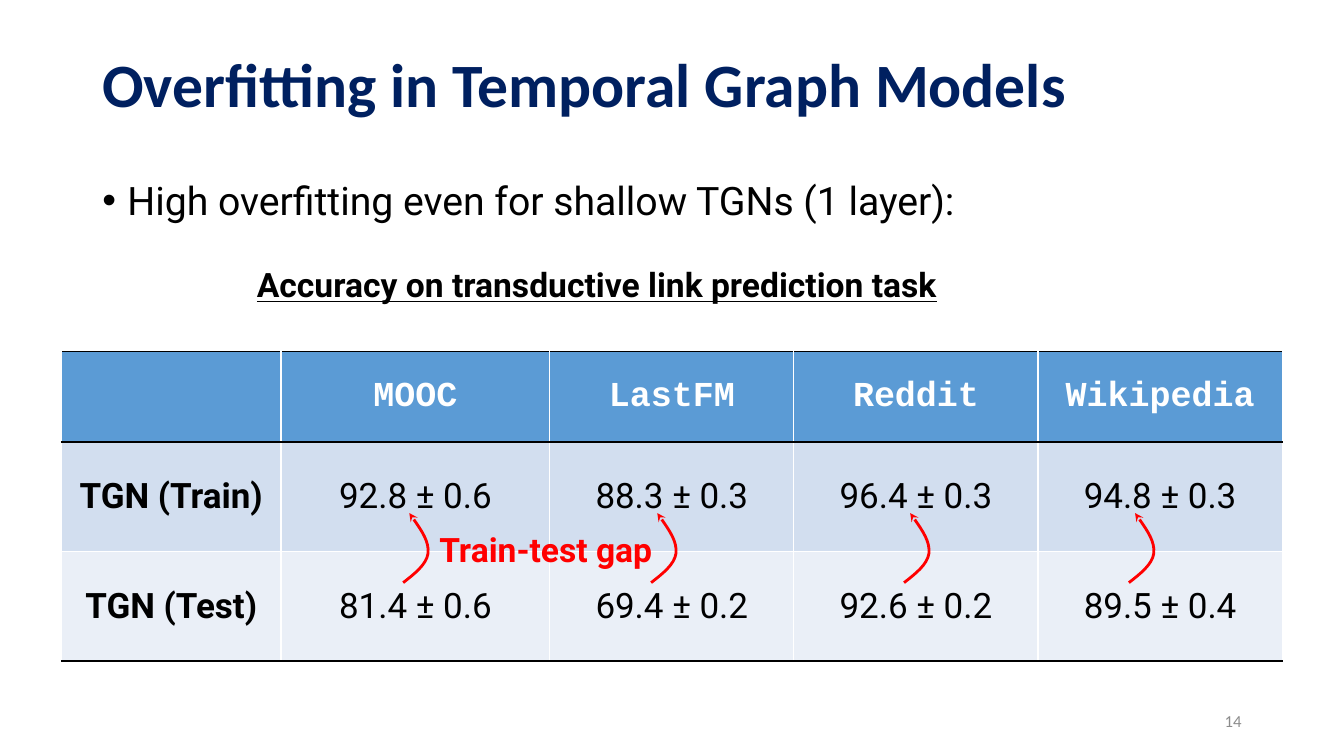
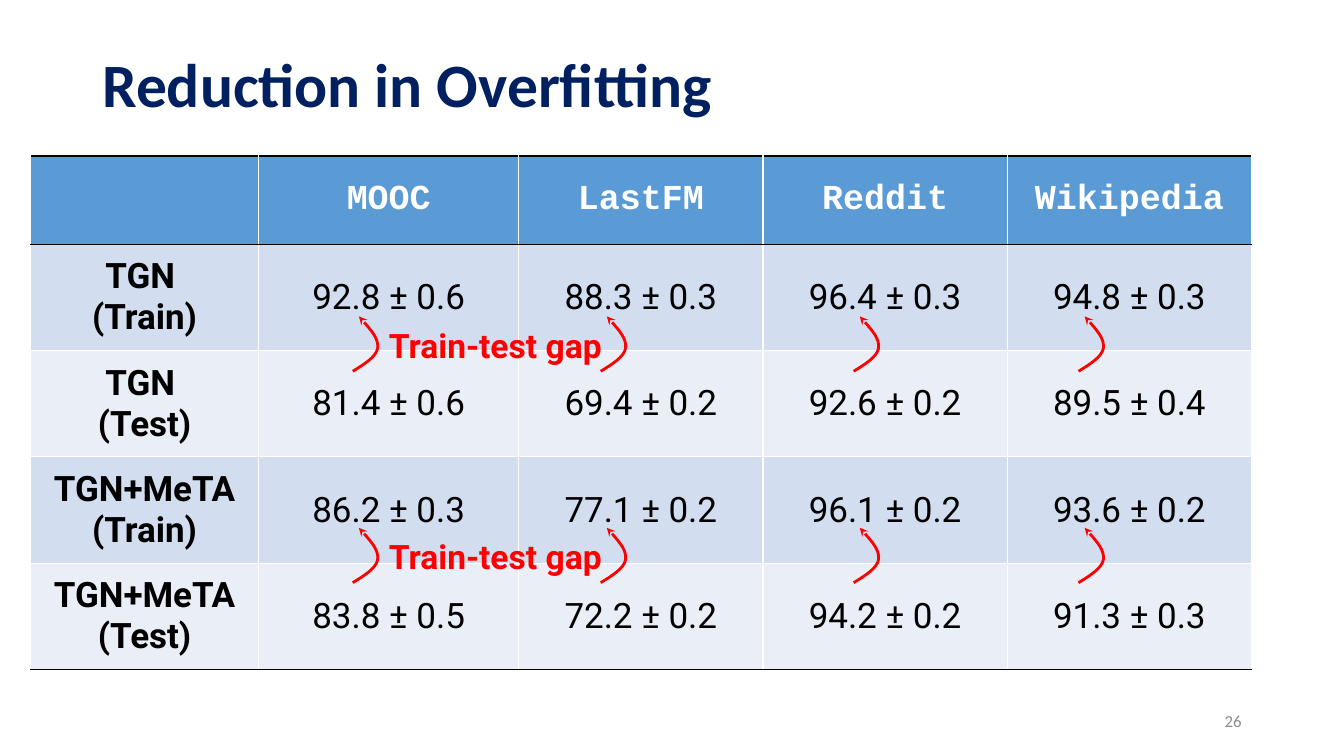
from itertools import product

from lxml.etree import SubElement
from pptx import Presentation
from pptx.dml.color import RGBColor
from pptx.enum.text import MSO_ANCHOR, PP_ALIGN
from pptx.oxml import parse_xml
from pptx.oxml.ns import nsdecls, qn
from pptx.util import Pt


class Theme:
    navy, black, white = "002060", "000000", "FFFFFF"
    gray, red = "8C8C8C", "FF0000"
    head, bands = "5B9BD5", ("D2DEEF", "EAEFF7")
    title = dict(name="Calibri", size=Pt(44), bold=True, color=navy)
    body = dict(name="Roboto", size=Pt(28), color=black)
    caption = dict(name="Roboto", size=Pt(24), bold=True, underline=True, color=black)
    note = dict(name="Roboto", size=Pt(24), bold=True, color=red)
    page = dict(name="Calibri", size=Pt(12), color=gray)
    column = dict(name="Courier New", size=Pt(25), bold=True, color=white)
    label = dict(name="Roboto", size=Pt(25), bold=True, color=black)
    value = dict(label, bold=False)


SETS = ["MOOC", "LastFM", "Reddit", "Wikipedia"]
TRAIN = [(92.8, 0.6), (88.3, 0.3), (96.4, 0.3), (94.8, 0.3)]
TEST = [(81.4, 0.6), (69.4, 0.2), (92.6, 0.2), (89.5, 0.4)]
META_TRAIN = [(86.2, 0.3), (77.1, 0.2), (96.1, 0.2), (93.6, 0.2)]
META_TEST = [(83.8, 0.5), (72.2, 0.2), (94.2, 0.2), (91.3, 0.3)]

STEPS = (0, 177.1, 357.8, 518.4)
# Curve points: x in points, y as a share of the height, from the bottom up
CURVE = [(8.3, 0.13), (16.6, 0.26), (17.8, 0.42), (18.6, 0.59), (11.5, 0.8), (4.4, 1)]


class Deck:
    def __init__(self):
        self.show = Presentation()
        self.show.slide_width, self.show.slide_height = Pt(960), Pt(540)
        self.slide = None

    def start(self, title, page):
        """Add a slide with its title and page number."""
        self.slide = self.show.slides.add_slide(self.show.slide_layouts[6])
        middle = MSO_ANCHOR.MIDDLE
        self.text(title, (66, 28.8, 828, 67), Theme.title, middle, line_spacing=0.9)
        self.text(page, (678, 500.5, 216, 28.8), Theme.page, middle,
                  alignment=PP_ALIGN.RIGHT)

    def style(self, para, look, **form):
        for key, item in form.items():
            setattr(para, key, item)
        for run in para.runs:
            for key, item in look.items():
                if key == "color":
                    run.font.color.rgb = RGBColor.from_string(item)
                else:
                    setattr(run.font, key, item)

    def text(self, words, box, look, anchor=MSO_ANCHOR.TOP, **form):
        frame = self.slide.shapes.add_textbox(*map(Pt, box)).text_frame
        frame.word_wrap, frame.vertical_anchor = True, anchor
        frame.text = words
        self.style(frame.paragraphs[0], look, **form)
        return frame.paragraphs[0]

    def bullet(self, words, box):
        para = self.text(words, box, Theme.body, line_spacing=0.9)
        props = para._p.get_or_add_pPr()
        props.set("marL", str(Pt(18)))
        props.set("indent", str(-Pt(18)))
        SubElement(props, qn("a:buFont")).set("typeface", "Arial")
        SubElement(props, qn("a:buChar")).set("char", "•")

    def border(self, cell, row, last):
        """Rule the table in black around the header and at the foot."""
        top = Theme.black if row <= 1 else Theme.white
        foot = Theme.black if row in (0, last) else Theme.white
        sides = dict(L=Theme.white, R=Theme.white, T=top, B=foot)
        props = cell._tc.get_or_add_tcPr()
        for spot, (side, color) in enumerate(sides.items()):
            props.insert(spot, parse_xml(
                f'<a:ln{side} {nsdecls("a")} w="{Pt(1)}"><a:solidFill>'
                f'<a:srgbClr val="{color}"/></a:solidFill></a:ln{side}>'))

    def table(self, left, top, widths, heights, rows):
        """Draw a header of data sets, then one row per (label, scores)."""
        grid = [["", *SETS]]
        grid += [[name, *(f"{mean} ± {dev}" for mean, dev in marks)]
                 for name, marks in rows]
        box = map(Pt, (left, top, sum(widths), sum(heights)))
        table = self.slide.shapes.add_table(len(grid), len(widths), *box).table
        table.horz_banding = False
        for col, width in zip(table.columns, widths):
            col.width = Pt(width)
        for row, height in zip(table.rows, heights):
            row.height = Pt(height)
        for row, col in product(range(len(grid)), range(len(widths))):
            cell = table.cell(row, col)
            cell.text = grid[row][col]
            cell.vertical_anchor = MSO_ANCHOR.MIDDLE
            look = Theme.value if col else Theme.label
            fill = Theme.bands[(row - 1) % 2]
            if row == 0:
                look, fill = Theme.column, Theme.head
            cell.fill.solid()
            cell.fill.fore_color.rgb = RGBColor.from_string(fill)
            for para in cell.text_frame.paragraphs:
                self.style(para, look, alignment=PP_ALIGN.CENTER)
            self.border(cell, row, len(grid) - 1)

    def arrow(self, left, foot, height):
        pen = self.slide.shapes.build_freeform(Pt(left), Pt(foot))
        pen.add_line_segments([(Pt(left + x), Pt(foot - y * height))
                               for x, y in CURVE], close=False)
        shape = pen.convert_to_shape()
        route = shape._element.find(".//" + qn("a:path"))
        lines = route.findall(qn("a:lnTo"))
        for first in range(0, len(lines), 3):
            bend = SubElement(route, qn("a:cubicBezTo"))
            for line in lines[first:first + 3]:
                bend.append(line[0])
                route.remove(line)
        shape.shadow.inherit = False
        shape.fill.background()
        shape.line.color.rgb = RGBColor.from_string(Theme.red)
        shape.line.width = Pt(2)
        SubElement(shape.line._get_or_add_ln(), qn("a:tailEnd")).set("type", "stealth")

    def gap(self, left, foot, height):
        """Mark the train-test gap in every column."""
        for step in STEPS:
            self.arrow(left + step, foot, height)
        self.text("Train-test gap", (left + 18.7, foot - height / 2 - 17, 386.6, 36),
                  Theme.note)


def main():
    deck = Deck()

    deck.start("Overfitting in Temporal Graph Models", "14")
    deck.bullet("High overfitting even for shallow TGNs (1 layer):", (66, 126, 828, 50.4))
    deck.table(44, 251.2, [156.7, 192] + [174.4] * 3, [64.6] + [78.2] * 2,
               [("TGN (Train)", TRAIN), ("TGN (Test)", TEST)])
    deck.gap(288, 416.2, 49.7)
    deck.text("Accuracy on transductive link prediction task",
              (176.4, 188.6, 573.8, 50.4), Theme.caption, line_spacing=0.9)

    deck.start("Reduction in Overfitting", "26")
    deck.table(21.8, 111.5, [163, 185.7] + [174.5] * 3, [62.9] + [76] * 4,
               [("TGN \n(Train)", TRAIN), ("TGN \n(Test)", TEST),
                ("TGN+MeTA (Train)", META_TRAIN), ("TGN+MeTA (Test)", META_TEST)])
    for foot in (416.2, 265.2):
        deck.gap(252, foot, 39.2)

    deck.show.save("out.pptx")


if __name__ == "__main__":
    main()
